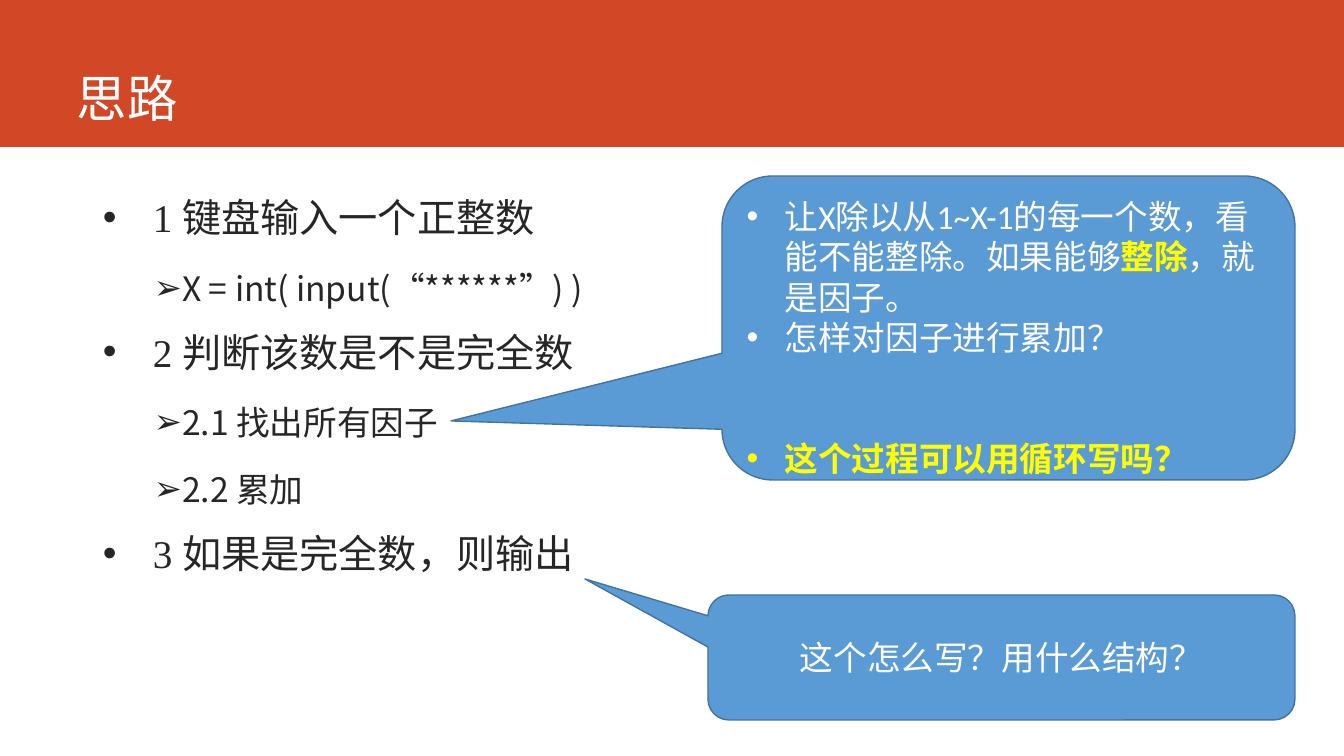
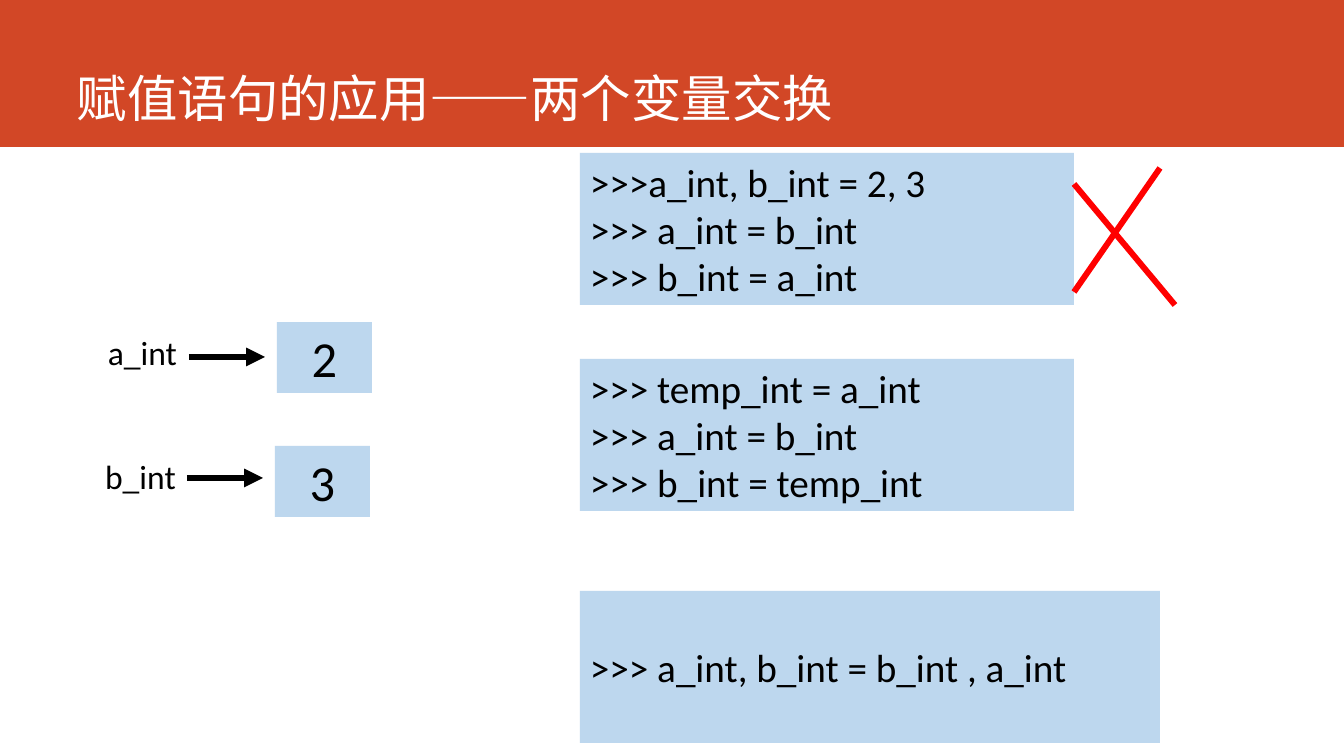
from dataclasses import dataclass

from lxml import etree
from pptx import Presentation
from pptx.dml.color import RGBColor
from pptx.enum.lang import MSO_LANGUAGE_ID
from pptx.enum.shapes import MSO_CONNECTOR, MSO_SHAPE
from pptx.enum.text import MSO_ANCHOR, PP_ALIGN
from pptx.oxml.ns import qn
from pptx.util import Pt

SLIDE_W, SLIDE_H = 1344, 756
EMU_PER_PX = 12192000 / SLIDE_W

RECT = MSO_SHAPE.RECTANGLE
CALLOUT = MSO_SHAPE.ROUNDED_RECTANGULAR_CALLOUT
STRAIGHT = MSO_CONNECTOR.STRAIGHT
LEFT, CENTER = PP_ALIGN.LEFT, PP_ALIGN.CENTER
TOP, MIDDLE, BOTTOM = MSO_ANCHOR.TOP, MSO_ANCHOR.MIDDLE, MSO_ANCHOR.BOTTOM
CHINESE = MSO_LANGUAGE_ID.SIMPLIFIED_CHINESE


@dataclass(frozen=True)
class Theme:
    band: str = "D24726"
    white: str = "FFFFFF"
    body: str = "262626"
    black: str = "000000"
    callout: str = "5B9BD5"
    callout_edge: str = "43739E"
    code_fill: str = "BDD7EE"
    highlight: str = "FFFF00"
    wrong: str = "FF0000"
    serif: str = "Times New Roman"
    sans: str = "Calibri"
    bold_sans: str = "Arial"
    cjk: str = "Noto Sans CJK SC"
    title_size: int = 36
    value_size: int = 36
    body_size: int = 28
    code_size: int = 28
    note_size: int = 24


THEME = Theme()


def px(value):
    return round(value * EMU_PER_PX)


def box_px(*box):
    return [px(value) for value in box]


def set_bullet(paragraph, char, indent, hanging):
    properties = paragraph._p.get_or_add_pPr()
    properties.set("marL", str(px(indent)))
    properties.set("indent", str(-px(hanging)))
    etree.SubElement(properties, qn("a:buFont")).set("typeface", THEME.bold_sans)
    etree.SubElement(properties, qn("a:buChar")).set("char", char)


def style_run(run, size, color, font, bold=False):
    run.font.size = Pt(size)
    run.font.bold = bold
    run.font.name = font
    run.font.language_id = CHINESE
    run.font.color.rgb = RGBColor.from_string(color)
    east_asian = etree.SubElement(run._r.get_or_add_rPr(), qn("a:ea"))
    east_asian.set("typeface", THEME.cjk)


def write(frame, text, *, size, color, font=THEME.sans, bold=False, align=LEFT,
          bullet=None, line=None, before=0, after=0):
    """Append one paragraph; text is a string or a list of (text, overrides)."""
    is_first = not frame.paragraphs[0].runs
    paragraph = frame.paragraphs[0] if is_first else frame.add_paragraph()
    if bullet:
        set_bullet(paragraph, *bullet)
    paragraph.alignment = align
    paragraph.space_before = Pt(0 if is_first else before)
    paragraph.space_after = Pt(after)
    if line:
        paragraph.line_spacing = Pt(line)
    base = dict(size=size, color=color, font=font, bold=bold)
    for part, overrides in [(text, {})] if isinstance(text, str) else text:
        run = paragraph.add_run()
        run.text = part
        style_run(run, **(base | overrides))


def text_frame(slide, box, anchor=TOP):
    frame = slide.shapes.add_textbox(*box_px(*box)).text_frame
    frame.word_wrap = True
    frame.vertical_anchor = anchor
    return frame


def add_panel(slide, box, fill, *, kind=RECT, edge=None, anchor=TOP):
    panel = slide.shapes.add_shape(kind, *box_px(*box))
    panel.shadow.inherit = False
    panel.fill.solid()
    panel.fill.fore_color.rgb = RGBColor.from_string(fill)
    if edge:
        panel.line.color.rgb = RGBColor.from_string(edge)
        panel.line.width = Pt(1)
    else:
        panel.line.fill.background()
    panel.text_frame.word_wrap = True
    panel.text_frame.vertical_anchor = anchor
    return panel


def add_line(slide, start, end, color, width, arrow=False):
    connector = slide.shapes.add_connector(STRAIGHT, *box_px(*start, *end))
    connector.line.color.rgb = RGBColor.from_string(color)
    connector.line.width = Pt(width)
    if arrow:
        etree.SubElement(connector.line._get_or_add_ln(), qn("a:tailEnd")).set("type", "triangle")
    etree.SubElement(connector._element.spPr, qn("a:effectLst"))


def titled_slide(deck, title):
    slide = deck.slides.add_slide(deck.slide_layouts[6])
    add_panel(slide, (0, 0, SLIDE_W, 147), THEME.band)
    write(text_frame(slide, (67, 0, 1185, 133), BOTTOM), title,
          size=THEME.title_size, color=THEME.white, font=THEME.serif)
    return slide


def outline(slide, box, steps):
    """Write (level, text) steps as a two-level bulleted list."""
    levels = (
        dict(size=THEME.body_size, font=THEME.serif, bullet=("•", 50, 50)),
        dict(size=THEME.note_size, font=THEME.cjk, bullet=("➢", 76, 25)),
    )
    frame = text_frame(slide, box)
    for level, step in steps:
        write(frame, step, color=THEME.body, line=24, before=12, after=12, **levels[level])


def callout(slide, box, tip, anchor=TOP):
    """Add a speech bubble whose pointer ends at tip; return its text frame."""
    left, top, width, height = box
    bubble = add_panel(slide, box, THEME.callout, kind=CALLOUT,
                       edge=THEME.callout_edge, anchor=anchor)
    bubble.adjustments[0] = (tip[0] - left) / width - 0.5
    bubble.adjustments[1] = (tip[1] - top) / height - 0.5
    bubble.adjustments[2] = 0.167
    return bubble.text_frame


def code_box(slide, box, lines, anchor=TOP):
    frame = add_panel(slide, box, THEME.code_fill, anchor=anchor).text_frame
    for code in lines:
        write(frame, code, size=THEME.code_size, color=THEME.black)


def variable_row(slide, left, top, name, value, arrow_drop):
    """Draw a name pointing at the box that holds its value."""
    value_box = add_panel(slide, (left + 182, top, 95, 71), THEME.code_fill, anchor=MIDDLE)
    write(value_box.text_frame, value, size=THEME.value_size, color=THEME.black, align=CENTER)
    write(text_frame(slide, (left, top + 5, 95, 50)), name,
          size=THEME.note_size, color=THEME.black, align=CENTER)
    arrow_y = top + arrow_drop
    add_line(slide, (left + 94, arrow_y), (left + 170, arrow_y), THEME.black, 4.5, arrow=True)


def cross_mark(slide, left, top):
    add_line(slide, (left + 86, top), (left, top + 124), THEME.wrong, 4.25)
    add_line(slide, (left, top + 16), (left + 101, top + 137), THEME.wrong, 4.25)


def idea_slide(deck):
    slide = titled_slide(deck, "思路")
    outline(slide, (93, 202, 1107, 480), [
        (0, "1 键盘输入一个正整数"),
        (1, "X = int( input(“******”) )"),
        (0, "2 判断该数是不是完全数"),
        (1, "2.1 找出所有因子"),
        (1, "2.2 累加"),
        (0, "3 如果是完全数，则输出"),
    ])

    note = dict(size=THEME.note_size, color=THEME.white)
    hint = note | dict(bullet=("•", 38, 38))
    emphasis = dict(color=THEME.highlight, bold=True)
    factors = callout(slide, (722, 176, 573, 304), (451, 421))
    write(factors, [
        ("让X除以从1~X-1的每一个数，看能不能整除。如果能够", {}),
        ("整除", emphasis | dict(font=THEME.bold_sans)),
        ("，就是因子。", {}),
    ], **hint)
    write(factors, "怎样对因子进行累加？", **hint)
    write(factors, "这个过程可以用循环写吗？", before=58, **(hint | emphasis))

    output = callout(slide, (708, 595, 587, 125), (585, 579), MIDDLE)
    write(output, "这个怎么写？用什么结构？", align=CENTER, **note)


def swap_slide(deck):
    slide = titled_slide(deck, "赋值语句的应用——两个变量交换")
    code_box(slide, (580, 153, 494, 152),
             [">>>a_int, b_int = 2, 3", ">>> a_int = b_int", ">>> b_int = a_int"])
    code_box(slide, (580, 359, 494, 152),
             [">>> temp_int = a_int", ">>> a_int = b_int", ">>> b_int = temp_int"])
    code_box(slide, (580, 591, 580, 152), [">>> a_int, b_int = b_int , a_int"], MIDDLE)
    variable_row(slide, 95, 322, "a_int", "2", 35)
    variable_row(slide, 93, 446, "b_int", "3", 32)
    cross_mark(slide, 1074, 168)


def main():
    deck = Presentation()
    deck.slide_width, deck.slide_height = px(SLIDE_W), px(SLIDE_H)
    idea_slide(deck)
    swap_slide(deck)
    deck.save("out.pptx")


if __name__ == "__main__":
    main()
